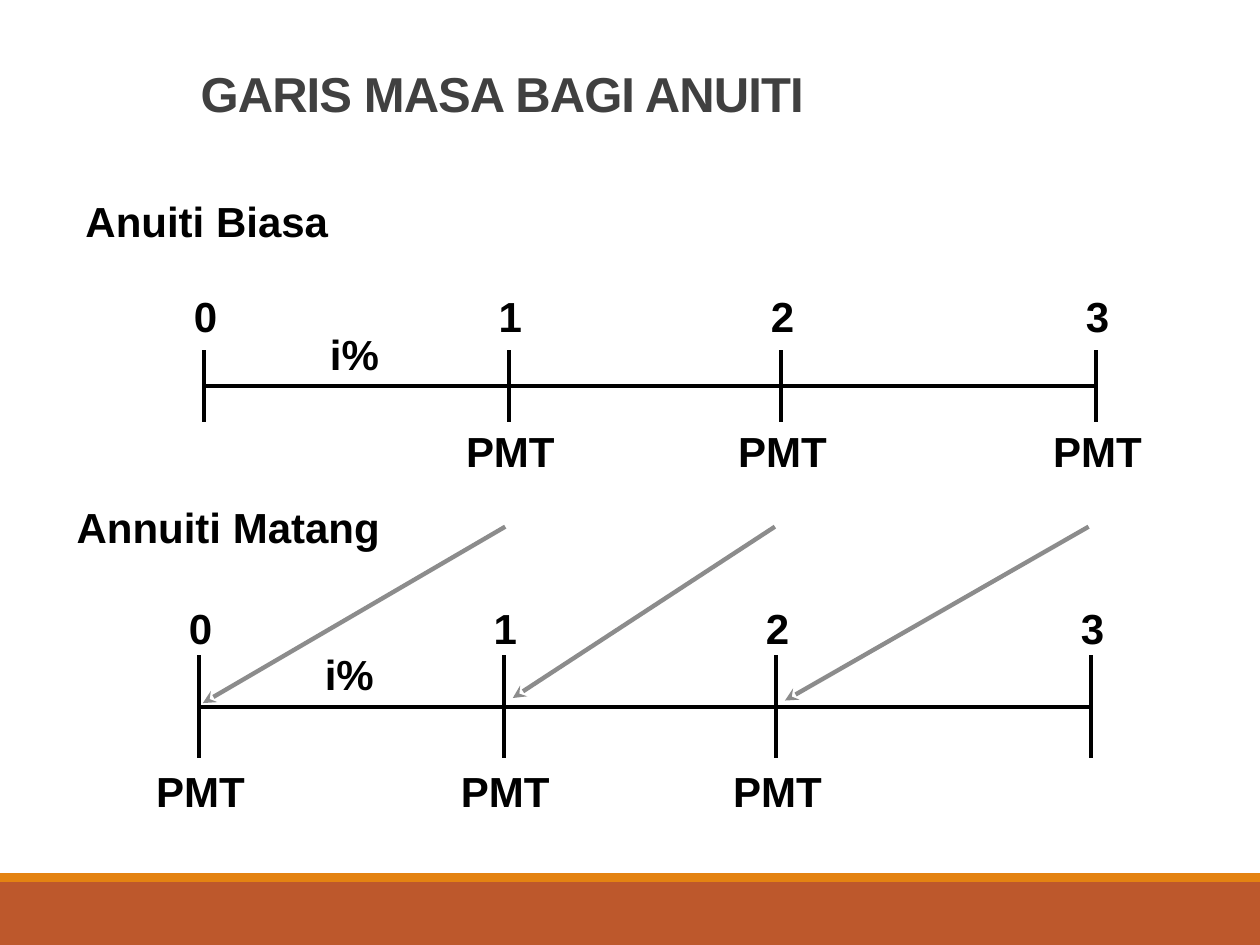
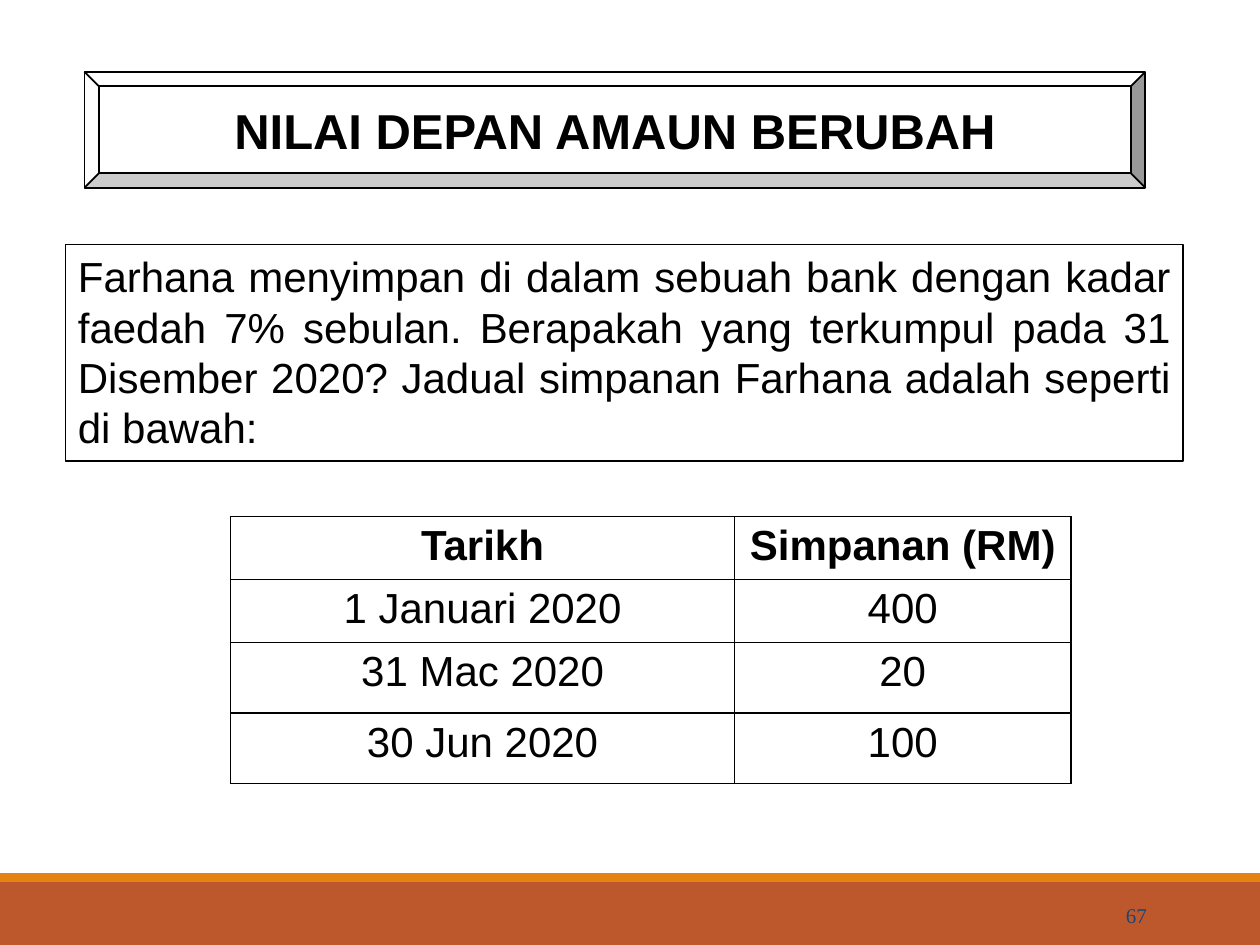
from lxml import etree
from pptx import Presentation
from pptx.dml.color import RGBColor
from pptx.enum.shapes import MSO_CONNECTOR, MSO_SHAPE
from pptx.enum.text import MSO_ANCHOR, PP_ALIGN
from pptx.oxml.ns import qn
from pptx.util import Inches, Pt

STRAIGHT = MSO_CONNECTOR.STRAIGHT
RECT, BEVEL = MSO_SHAPE.RECTANGLE, MSO_SHAPE.BEVEL
LEFT, CENTER, RIGHT, JUSTIFY = (
    PP_ALIGN.LEFT, PP_ALIGN.CENTER, PP_ALIGN.RIGHT, PP_ALIGN.JUSTIFY)
TOP, MIDDLE = MSO_ANCHOR.TOP, MSO_ANCHOR.MIDDLE

COLORS = {
    "band": "BD582C",
    "stripe": "E48312",
    "title": "404040",
    "ink": "000000",
    "paper": "FFFFFF",
    "arrow": "8C8C8C",
    "page": "1D4577",
}
TITLE_SIZE, BODY_SIZE = 28, 24
PERIOD_OFFSETS = [0, 2.42, 4.58, 7.08]
SAVINGS = [
    ("Tarikh", "Simpanan (RM)"),
    ("1 Januari 2020", "400"),
    ("31 Mac 2020", "20"),
    ("30 Jun 2020", "100"),
]


def rgb(name):
    return RGBColor.from_string(COLORS[name])


def write(frame, text, size=BODY_SIZE, color="ink", bold=False, align=LEFT,
          font="Arial"):
    frame.text = text
    paragraph = frame.paragraphs[0]
    paragraph.alignment = align
    run = paragraph.runs[0]
    run.font.name = font
    run.font.size = Pt(size)
    run.font.bold = bold
    run.font.color.rgb = rgb(color)
    return run


def add_text(slide, box, text, wrap=True, anchor=TOP, **style):
    frame = slide.shapes.add_textbox(*map(Inches, box)).text_frame
    frame.word_wrap = wrap
    frame.vertical_anchor = anchor
    return write(frame, text, **style)


def add_label(slide, left, top, width, text):
    add_text(slide, (left, top, width, 0.51), text, wrap=False, bold=True)


def add_panel(slide, kind, box, fill, outlined=False):
    panel = slide.shapes.add_shape(kind, *map(Inches, box))
    panel.shadow.inherit = False
    panel.fill.solid()
    panel.fill.fore_color.rgb = rgb(fill)
    if outlined:
        panel.line.color.rgb = rgb("ink")
        panel.line.width = Pt(1)
    else:
        panel.line.fill.background()
    return panel


def add_line(slide, start, end, color="ink", width=2, arrow=False):
    line = slide.shapes.add_connector(STRAIGHT, *map(Inches, start + end))
    line.line.color.rgb = rgb(color)
    line.line.width = Pt(width)
    if arrow:
        etree.SubElement(line.line._get_or_add_ln(), qn("a:tailEnd"), type="stealth")
    etree.SubElement(line._element.spPr, qn("a:effectLst"))


def add_timeline(slide, left, number_top, rate_top, ticks, payment_top, payments):
    """Draw a time axis with numbered periods and PMT under the paid ones."""
    tick_top, tick_bottom = ticks
    axis_y = (tick_top + tick_bottom) / 2
    add_line(slide, (left, axis_y), (left + PERIOD_OFFSETS[-1], axis_y))
    for period, offset in enumerate(PERIOD_OFFSETS):
        x = left + offset
        add_line(slide, (x, tick_top), (x, tick_bottom))
        add_label(slide, x - 0.18, number_top, 0.39, str(period))
        if period in payments:
            add_label(slide, x - 0.44, payment_top, 0.91, "PMT")
    add_label(slide, left + 0.9, rate_top, 0.6, "i%")


def border_cell(cell):
    properties = cell._tc.get_or_add_tcPr()
    for side in ("a:lnL", "a:lnR", "a:lnT", "a:lnB"):
        edge = etree.SubElement(properties, qn(side), w=str(Pt(1)))
        fill = etree.SubElement(edge, qn("a:solidFill"))
        etree.SubElement(fill, qn("a:srgbClr"), val=COLORS["ink"])


def add_savings_table(slide):
    table = slide.shapes.add_table(
        len(SAVINGS), 2, *map(Inches, (1.83, 4.1, 6.67, 2.11))).table
    table.first_row = table.horz_banding = False
    for column, width in zip(table.columns, (4, 2.67)):
        column.width = Inches(width)
    for row, height in zip(table.rows, (0.5, 0.5, 0.56, 0.56)):
        row.height = Inches(height)
    for r, values in enumerate(SAVINGS):
        for c, value in enumerate(values):
            cell = table.cell(r, c)
            border_cell(cell)
            cell.fill.solid()
            cell.fill.fore_color.rgb = rgb("paper")
            write(cell.text_frame, value, bold=r == 0, align=CENTER)


def add_slide(prs):
    """Start a blank slide with the shared footer bands."""
    slide = prs.slides.add_slide(prs.slide_layouts[6])
    add_panel(slide, RECT, (0, 7, 10, 0.5), "band")
    add_panel(slide, RECT, (0, 6.93, 10, 0.07), "stripe")
    return slide


def build_timelines(prs):
    slide = add_slide(prs)
    title = add_text(slide, (0, 0.22, 7.97, 1.03), "GARIS MASA BAGI ANUITI",
                     anchor=MIDDLE, size=TITLE_SIZE, color="title", bold=True,
                     align=CENTER)
    title._r.get_or_add_rPr().set("spc", "-50")

    # Ordinary annuity: payments at the end of each period
    add_label(slide, 0.58, 1.5, 2.15, "Anuiti Biasa")
    add_timeline(slide, 1.62, 2.26, 2.56, (2.78, 3.35), 3.33, {1, 2, 3})

    # Annuity due: each payment moves one period earlier
    add_label(slide, 0.51, 3.93, 2.63, "Annuiti Matang")
    add_timeline(slide, 1.58, 4.73, 5.1, (5.2, 6.02), 6.03, {0, 1, 2})
    for start_x, end in ((4.01, (1.61, 5.58)), (6.15, (4.07, 5.54)),
                         (8.64, (6.23, 5.56))):
        add_line(slide, (start_x, 4.18), end, "arrow", 2.5, arrow=True)


def build_future_value(prs):
    slide = add_slide(prs)

    # Bevelled heading
    heading = add_panel(slide, BEVEL, (0.67, 0.57, 8.42, 0.92), "paper", True)
    heading.text_frame.vertical_anchor = MIDDLE
    write(heading.text_frame, "NILAI DEPAN AMAUN BERUBAH", size=TITLE_SIZE,
          bold=True, align=CENTER)

    # Question and deposit schedule
    question = add_panel(slide, RECT, (0.52, 1.94, 8.87, 1.72), "paper", True)
    question.text_frame.vertical_anchor = TOP
    question.text_frame.word_wrap = True
    write(question.text_frame,
          "Farhana menyimpan di dalam sebuah bank dengan kadar faedah 7% sebulan. "
          "Berapakah yang terkumpul pada 31 Disember 2020? Jadual simpanan "
          "Farhana adalah seperti di bawah:", align=JUSTIFY)
    add_savings_table(slide)

    # Page number
    add_text(slide, (8.12, 7.06, 1.08, 0.4), "67", anchor=MIDDLE, size=12,
             color="page", align=RIGHT, font="Times New Roman")


def main():
    prs = Presentation()
    prs.slide_width, prs.slide_height = Inches(10), Inches(7.5)
    build_timelines(prs)
    build_future_value(prs)
    prs.save("out.pptx")


if __name__ == "__main__":
    main()
